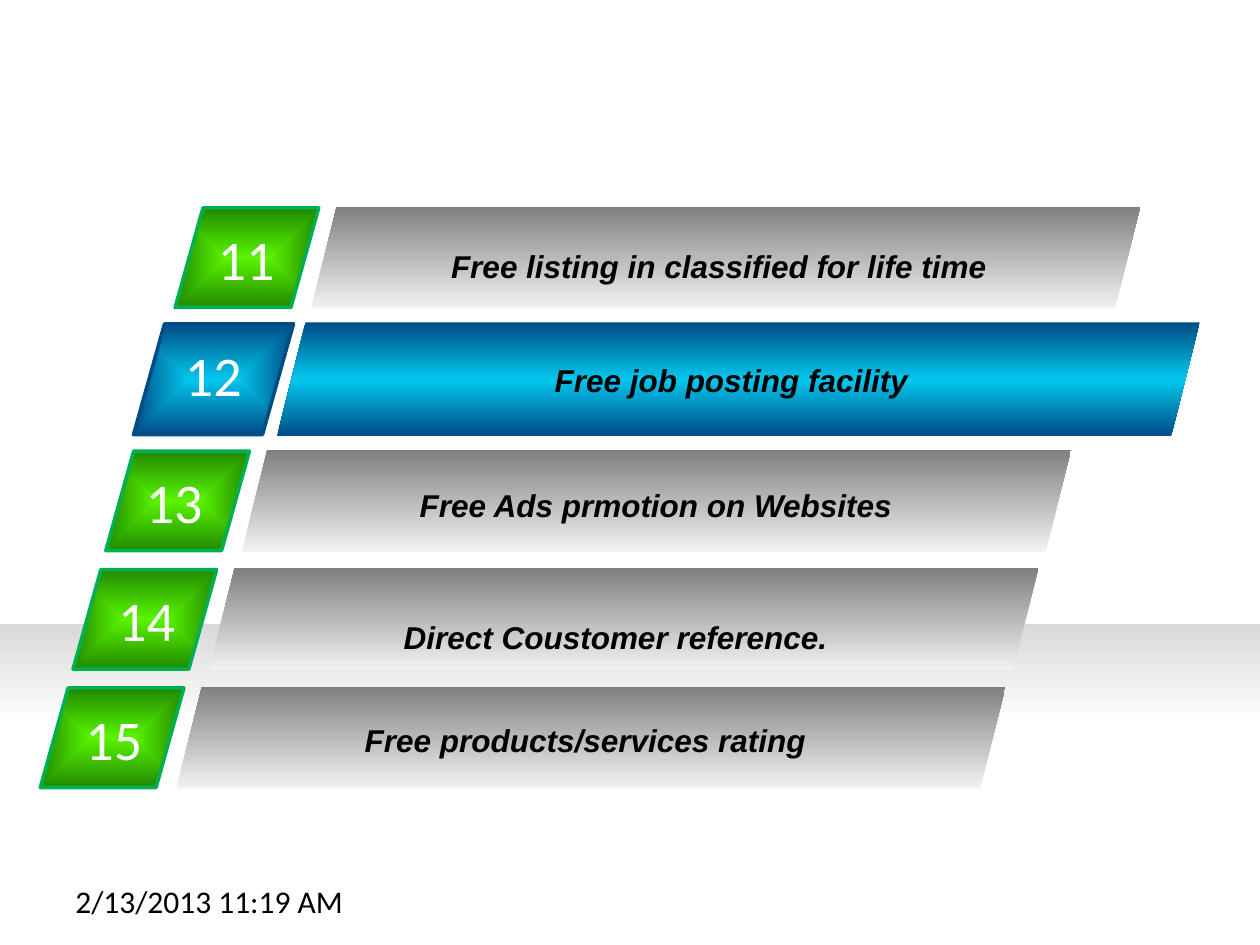
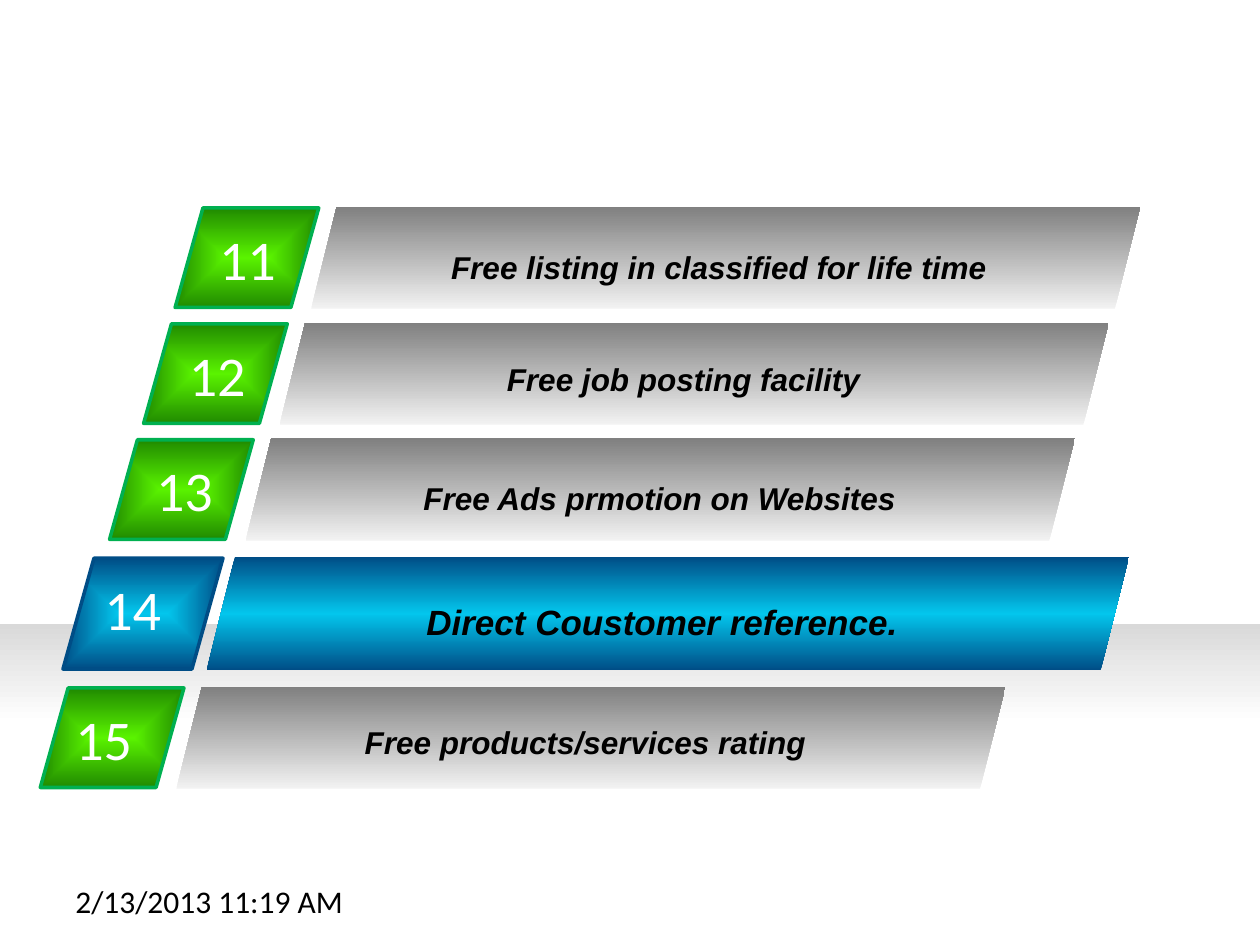
from dataclasses import dataclass

from pptx import Presentation
from pptx.dml.color import RGBColor
from pptx.enum.shapes import MSO_SHAPE
from pptx.enum.text import PP_ALIGN
from pptx.oxml import parse_xml
from pptx.oxml.ns import nsdecls, qn
from pptx.util import Inches, Pt


@dataclass(frozen=True)
class Theme:
    white: str = "FFFFFF"
    black: str = "000000"
    band: tuple = ((0, "FFFFFF"), (61, "FFFFFF"), (100, "D9D9D9"))
    bar: tuple = ((0, "F2F2F2"), (100, "808080"))
    bar_active: tuple = ((0, "004D86"), (50, "03C6ED"), (100, "004D86"))
    chip: tuple = ((0, "5AF300"), (100, "208A00"))
    chip_active: tuple = ((0, "03C6ED"), (100, "004D86"))
    edge: str = "00B050"
    edge_active: str = "004D86"
    number_font: str = "Calibri"
    label_font: str = "Arial"
    number_size: int = 32
    body_size: int = 18


theme = Theme()


def add_text(s, text, x, y, w, h, font=theme.number_font, size=theme.body_size,
             color=theme.black, bold=False, italic=False, align=PP_ALIGN.LEFT):
    tf = s.shapes.add_textbox(Inches(x), Inches(y), Inches(w), Inches(h)).text_frame
    tf.word_wrap = True
    p = tf.paragraphs[0]
    p.alignment = align
    r = p.add_run()
    r.text = text
    r.font.name = font
    r.font.size = Pt(size)
    r.font.bold = bold
    r.font.italic = italic
    r.font.color.rgb = RGBColor.from_string(color)


def add_gradient_shape(s, kind, x, y, w, h, stops, edge=None, radial=False):
    sp = s.shapes.add_shape(kind, Inches(x), Inches(y), Inches(w), Inches(h))
    sp.shadow.inherit = False
    sp.fill.background()
    if edge:
        sp.line.color.rgb = RGBColor.from_string(edge)
        sp.line.width = Pt(2)
    else:
        sp.line.fill.background()
    gs = "".join(f'<a:gs pos="{pos * 1000}"><a:srgbClr val="{color}"/></a:gs>'
                 for pos, color in stops)
    direction = '<a:lin ang="16200000" scaled="0"/>'
    if radial:
        direction = ('<a:path path="shape"><a:fillToRect l="50000" t="50000" '
                     'r="50000" b="50000"/></a:path>')
    grad = parse_xml(f'<a:gradFill {nsdecls("a")} rotWithShape="1">'
                     f'<a:gsLst>{gs}</a:gsLst>{direction}</a:gradFill>')
    spPr = sp._element.spPr
    spPr.replace(spPr.find(qn("a:noFill")), grad)
    return sp


labels = {
    11: "Free listing in classified for life time",
    12: "Free job posting facility",
    13: "Free Ads prmotion on Websites",
    14: "Direct Coustomer reference.",
    15: "Free products/services rating",
}

slides = [
    dict(active=12, active_size=18, rows={
        11: (2.47, 1.64, 1.63, 2.75, 1.91),
        12: (2.2, 2.56, 1.37, 2.52, 2.82),
        13: (1.92, 3.57, 1.06, 2.25, 3.81),
        14: (1.66, 4.51, 0.84, 1.93, 4.86),
        15: (1.4, 5.45, 0.58, 1.69, 5.67),
    }),
    dict(active=14, active_size=20, rows={
        11: (2.47, 1.64, 1.64, 2.75, 1.92),
        12: (2.22, 2.56, 1.4, 2.47, 2.81),
        13: (1.95, 3.48, 1.14, 2.28, 3.75),
        14: (1.64, 4.42, 0.73, 1.97, 4.72),
        15: (1.4, 5.45, 0.5, 1.69, 5.69),
    }),
]

prs = Presentation()
prs.slide_width = Inches(10)
prs.slide_height = Inches(7.5)

for content in slides:
    s = prs.slides.add_slide(prs.slide_layouts[6])
    add_gradient_shape(s, MSO_SHAPE.RECTANGLE, 0, 4.95, 10, 2.02, theme.band)

    for number, (x, y, number_x, label_x, label_y) in content["rows"].items():
        if number == content["active"]:
            chip_gap, chip_w, chip_h, bar_w, bar_h, label_w = 1.14, 1.27, 0.88, 7.32, 0.9, 6.57
            chip_fill, edge, bar_fill = theme.chip_active, theme.edge_active, theme.bar_active
            label_size = content["active_size"]
        else:
            chip_gap, chip_w, chip_h, bar_w, bar_h, label_w = 1.08, 1.14, 0.79, 6.58, 0.81, 5.91
            chip_fill, edge, bar_fill = theme.chip, theme.edge, theme.bar
            label_size = theme.body_size

        chip = add_gradient_shape(s, MSO_SHAPE.PARALLELOGRAM, x - chip_gap, y + 0.01,
                                  chip_w, chip_h, chip_fill, edge, radial=True)
        chip.adjustments[0] = 0.28
        add_text(s, str(number), number_x, y + 0.09, 0.8, 0.64,
                 size=theme.number_size, color=theme.white)
        add_gradient_shape(s, MSO_SHAPE.PARALLELOGRAM, x, y, bar_w, bar_h, bar_fill)
        add_text(s, labels[number], label_x, label_y, label_w, 0.4,
                 font=theme.label_font, size=label_size, bold=True, italic=True,
                 align=PP_ALIGN.CENTER)

    add_text(s, "2/13/2013 11:19 AM", 0.5, 6.95, 2.33, 0.4)

prs.save("out.pptx")
